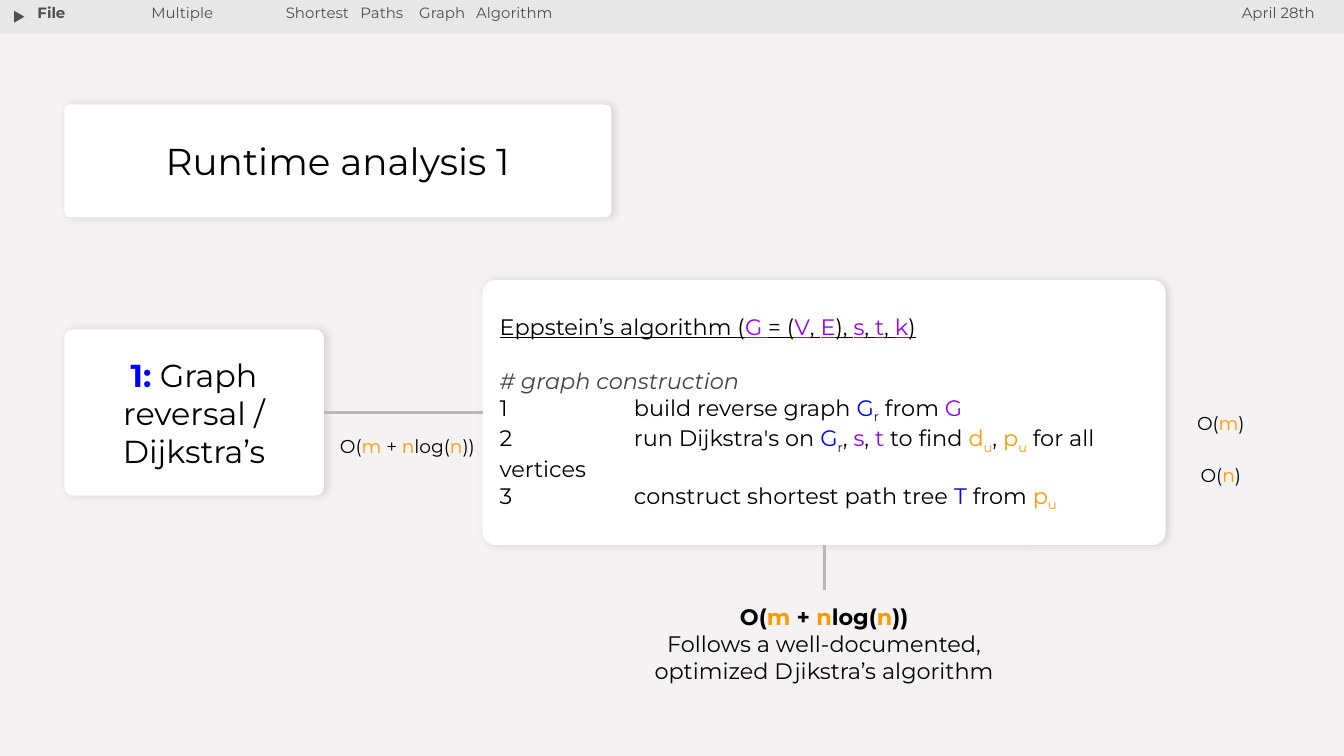
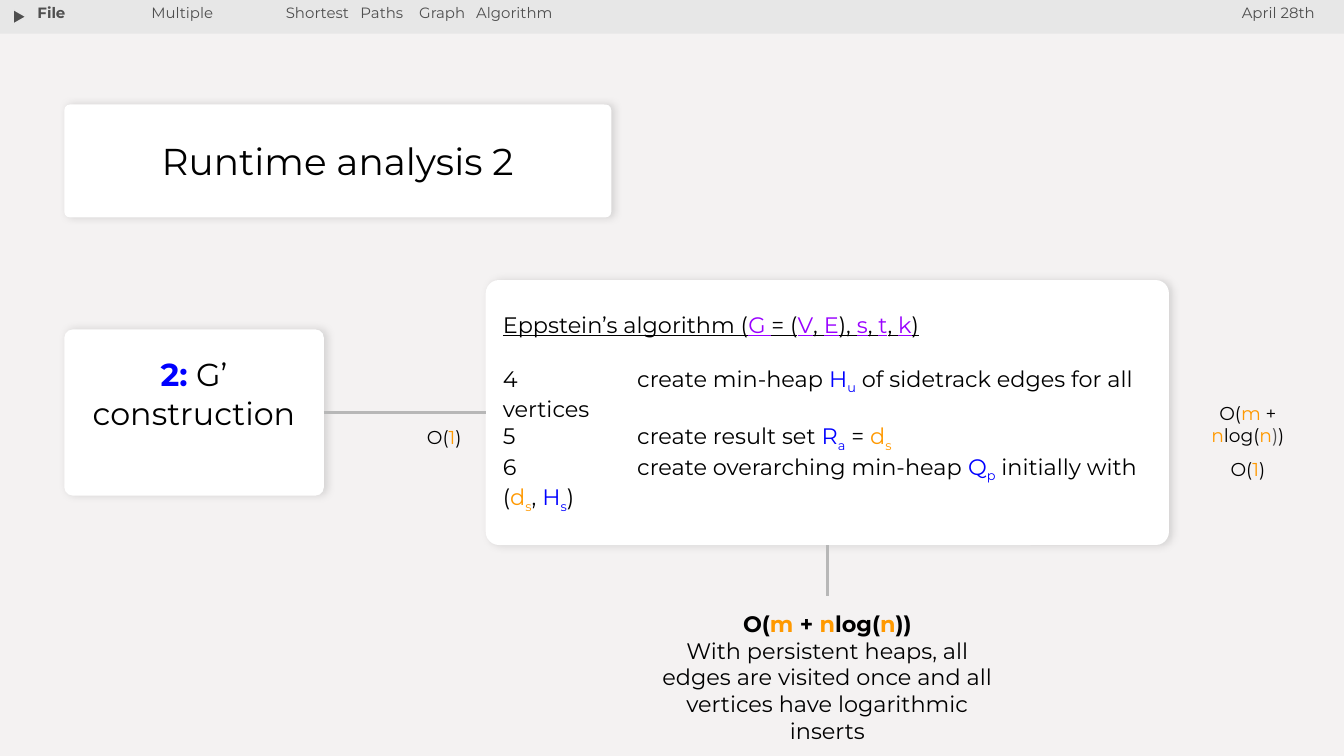
"""Build two runtime analysis slides for a shortest paths algorithm."""
from dataclasses import dataclass
from typing import NamedTuple

import lxml.etree
import pptx
import pptx.dml.color
import pptx.enum.shapes
import pptx.enum.text
import pptx.oxml
import pptx.oxml.ns
import pptx.util

Pt = pptx.util.Pt
RGBColor = pptx.dml.color.RGBColor
SHAPE = pptx.enum.shapes.MSO_SHAPE
ALIGN = pptx.enum.text.PP_ALIGN
ANCHOR = pptx.enum.text.MSO_ANCHOR
qn = pptx.oxml.ns.qn

FONT = "Montserrat"
BACKGROUND = RGBColor(0xF4, 0xF2, 0xF2)
BAR = RGBColor(0xE7, 0xE7, 0xE7)
WHITE = RGBColor(0xFF, 0xFF, 0xFF)
BLACK = RGBColor(0x00, 0x00, 0x00)
MENU_GREY = RGBColor(0x4F, 0x4F, 0x4F)
COMMENT_GREY = RGBColor(0x43, 0x43, 0x43)
LINE_GREY = RGBColor(0xB7, 0xB7, 0xB7)
BLUE = RGBColor(0x00, 0x00, 0xFF)
PURPLE = RGBColor(0x99, 0x00, 0xFF)
ORANGE = RGBColor(0xFF, 0x99, 0x00)

INSET = 7.2
CODE_TAB = 72
MENU_TABS = (72, 112, 143.5, 174)
SHADOW = (
    '<a:outerShdw xmlns:a="http://schemas.openxmlformats.org/drawingml/2006/main" '
    'blurRad="57150" dist="19050" dir="0" algn="bl" rotWithShape="0">'
    '<a:srgbClr val="000000"><a:alpha val="12000"/></a:srgbClr></a:outerShdw>'
)


class Mark(NamedTuple):
    """Look of a marked stretch of text."""

    color: RGBColor
    bold: bool = False
    italic: bool = False


MARKS = {
    "b": Mark(BLUE),
    "p": Mark(PURPLE),
    "o": Mark(ORANGE),
    "g": Mark(MENU_GREY),
    "c": Mark(COMMENT_GREY, italic=True),
    "B": Mark(BLUE, bold=True),
}


class Box(NamedTuple):
    """Position and size in points."""

    left: float
    top: float
    width: float
    height: float


@dataclass(frozen=True)
class Line:
    """A paragraph in which |kx_y| shows x in mark k with subscript y."""

    text: str
    size: float = 12
    color: RGBColor = BLACK
    align: ALIGN = ALIGN.LEFT
    bold: bool = False
    underline: bool = False
    space_after: float = 0
    tabs: tuple = ()


@dataclass(frozen=True)
class Cost:
    """A small running time label."""

    text: str
    left: float
    top: float
    width: float = 84


@dataclass(frozen=True)
class Analysis:
    """The content of one slide."""

    title: str
    step: str
    step_bottom: float
    code_left: float
    code: tuple
    note_top: float
    note: str
    costs: tuple


TOTAL_COST = "O(|om |+ |on|log(|on|))"
HEADING = "Eppstein’s algorithm (|pG |= (|pV|, |pE|), |ps|, |pt|, |pk|)"
TITLE_BOX = Box(34.5, 56, 293, 60.5)
STEP_BOX = Box(34.5, 176.5, 139, 89)
CODE_TOP, CODE_WIDTH, CODE_HEIGHT = 150, 366, 142
NOTE_WIDTH, NOTE_HEIGHT = 201, 74
COST_HEIGHT = 32

ANALYSES = (
    Analysis(
        "Runtime analysis 1",
        "|B1:| Graph reversal / Dijkstra’s",
        INSET,
        258.5,
        (
            "|c# graph construction|",
            "1\tbuild reverse graph |bG_r| from |pG|",
            "2\trun Dijkstra's on |bG_r|, |ps|, |pt |to find |od_u|, |op_u| for all vertices",
            "3\tconstruct shortest path tree |bT| from |op_u|",
        ),
        316,
        "Follows a well-documented, optimized Djikstra’s algorithm",
        (
            Cost("O(|om|)", 612, 214.5),
            Cost("O(|on|)", 612, 242.5),
            Cost(TOTAL_COST, 168.5, 227, 99.5),
        ),
    ),
    Analysis(
        "Runtime analysis 2",
        "|B2:| G’ construction",
        INSET + 20.5,
        260.25,
        (
            "4\tcreate min-heap |bH_u| of sidetrack edges for all vertices",
            "5\tcreate result set |bR_a| = |od_s|",
            "6\tcreate overarching min-heap |bQ_p| initially with (|od_s|, |bH_s|)",
        ),
        319.5,
        "With persistent heaps, all edges are visited once and all vertices "
        "have logarithmic inserts",
        (
            Cost("O(|om |+ |on|log(|on||g)|)", 626.5, 208),
            Cost("O(|o1|)", 626.5, 239.5),
            Cost("O(|o1|)", 196, 222),
        ),
    ),
)


def lengths(box: Box) -> tuple:
    """Return the box as lengths."""
    return tuple(Pt(value) for value in box)


def add_run(p, text: str, line: Line, mark: Mark, subscript: bool = False) -> None:
    """Add one formatted run to a paragraph."""
    if not text:
        return
    r = p.add_run()
    r.text = text
    r.font.name = FONT
    r.font.size = Pt(line.size)
    r.font.color.rgb = mark.color
    r.font.bold = line.bold or mark.bold
    r.font.italic = mark.italic
    r.font.underline = line.underline
    if subscript:
        r.font._element.set("baseline", "-25000")


def set_tabs(p, stops: tuple) -> None:
    """Give a paragraph left tab stops."""
    tab_list = lxml.etree.SubElement(p._p.get_or_add_pPr(), qn("a:tabLst"))
    for stop in stops:
        tab = lxml.etree.SubElement(tab_list, qn("a:tab"))
        tab.set("pos", str(int(Pt(stop))))
        tab.set("algn", "l")


def write(sp, lines: list[Line], anchor=ANCHOR.TOP, bottom: float = INSET) -> None:
    """Fill a shape with marked-up paragraphs."""
    tf = sp.text_frame
    tf.word_wrap = True
    tf.vertical_anchor = anchor
    tf.margin_left = tf.margin_right = tf.margin_top = Pt(INSET)
    tf.margin_bottom = Pt(bottom)
    for i, line in enumerate(lines):
        p = tf.add_paragraph() if i else tf.paragraphs[0]
        p.alignment = line.align
        p.space_after = Pt(line.space_after)
        if line.tabs:
            set_tabs(p, line.tabs)
        for j, part in enumerate(line.text.split("|")):
            if j % 2:
                mark = MARKS[part[0]]
                base, _, subscript = part[1:].partition("_")
                add_run(p, base, line, mark)
                add_run(p, subscript, line, mark, True)
            else:
                add_run(p, part, line, Mark(line.color))


def add_text(s, box: Box, lines: list[Line]):
    """Add a wrapping text box."""
    sp = s.shapes.add_textbox(*lengths(box))
    write(sp, lines)
    return sp


def add_solid(s, kind, box: Box, color: RGBColor):
    """Add a filled shape without outline or shadow."""
    sp = s.shapes.add_shape(kind, *lengths(box))
    sp.shadow.inherit = False
    sp.fill.solid()
    sp.fill.fore_color.rgb = color
    sp.line.fill.background()
    return sp


def add_card(s, box: Box, lines: list[Line], bottom: float = INSET):
    """Add a white rounded card with a soft shadow."""
    sp = add_solid(s, SHAPE.ROUNDED_RECTANGLE, box, WHITE)
    sp.adjustments[0] = 0.05
    effects = sp._element.spPr.find(qn("a:effectLst"))
    effects.append(pptx.oxml.parse_xml(SHADOW))
    write(sp, lines, ANCHOR.MIDDLE, bottom)
    return sp


def join(s, start, start_side: int, end, end_side: int) -> None:
    """Join the sides of two shapes with a grey line."""
    line = s.shapes.add_connector(pptx.enum.shapes.MSO_CONNECTOR.STRAIGHT, 0, 0, 0, 0)
    line.begin_connect(start, start_side)
    line.end_connect(end, end_side)
    line.line.color.rgb = LINE_GREY
    line.line.width = Pt(1.5)
    lxml.etree.SubElement(line._element.spPr, qn("a:effectLst"))


def add_menu(s) -> None:
    """Draw the menu bar at the top of a slide."""
    add_solid(s, SHAPE.RECTANGLE, Box(-0.5, 0, 720.5, 18), BAR)
    arrow = add_solid(s, SHAPE.ISOSCELES_TRIANGLE, Box(6.5, 5.5, 8, 7), MENU_GREY)
    arrow.rotation = 90
    arrow.line.color.rgb = BAR
    arrow.line.width = Pt(0.75)
    menu = "Multiple\tShortest\tPaths\tGraph\tAlgorithm"
    add_text(s, Box(621.5, -3, 90, 24.5), [Line("April 28th", 8, MENU_GREY, ALIGN.RIGHT)])
    add_text(s, Box(13, -3, 92, 26.5), [Line("File", 8, MENU_GREY, bold=True)])
    add_text(s, Box(74, -3, 300, 24.5), [Line(menu, 8, MENU_GREY, tabs=MENU_TABS)])


def add_analysis(prs, analysis: Analysis) -> None:
    """Add one runtime analysis slide."""
    s = prs.slides.add_slide(prs.slide_layouts[6])
    add_menu(s)
    add_card(s, TITLE_BOX, [Line(analysis.title, 20, align=ALIGN.CENTER)])
    step = add_card(
        s, STEP_BOX, [Line(analysis.step, 17, align=ALIGN.CENTER)], analysis.step_bottom
    )
    code = add_card(
        s,
        Box(analysis.code_left, CODE_TOP, CODE_WIDTH, CODE_HEIGHT),
        [Line(HEADING, underline=True, space_after=14.5)]
        + [Line(text, tabs=(CODE_TAB,)) for text in analysis.code],
    )
    note_left = analysis.code_left + (CODE_WIDTH - NOTE_WIDTH) / 2
    note = add_text(
        s,
        Box(note_left, analysis.note_top, NOTE_WIDTH, NOTE_HEIGHT),
        [
            Line(TOTAL_COST, align=ALIGN.CENTER, bold=True),
            Line(analysis.note, align=ALIGN.CENTER),
        ],
    )
    join(s, step, 3, code, 1)
    join(s, code, 2, note, 0)
    for cost in analysis.costs:
        box = Box(cost.left, cost.top, cost.width, COST_HEIGHT)
        add_text(s, box, [Line(cost.text, 10, align=ALIGN.CENTER)])


def main() -> None:
    """Build and save the presentation."""
    prs = pptx.Presentation()
    prs.slide_width, prs.slide_height = Pt(720), Pt(405)
    fill = prs.slide_master.background.fill
    fill.solid()
    fill.fore_color.rgb = BACKGROUND
    for analysis in ANALYSES:
        add_analysis(prs, analysis)
    prs.save("out.pptx")


if __name__ == "__main__":
    main()
